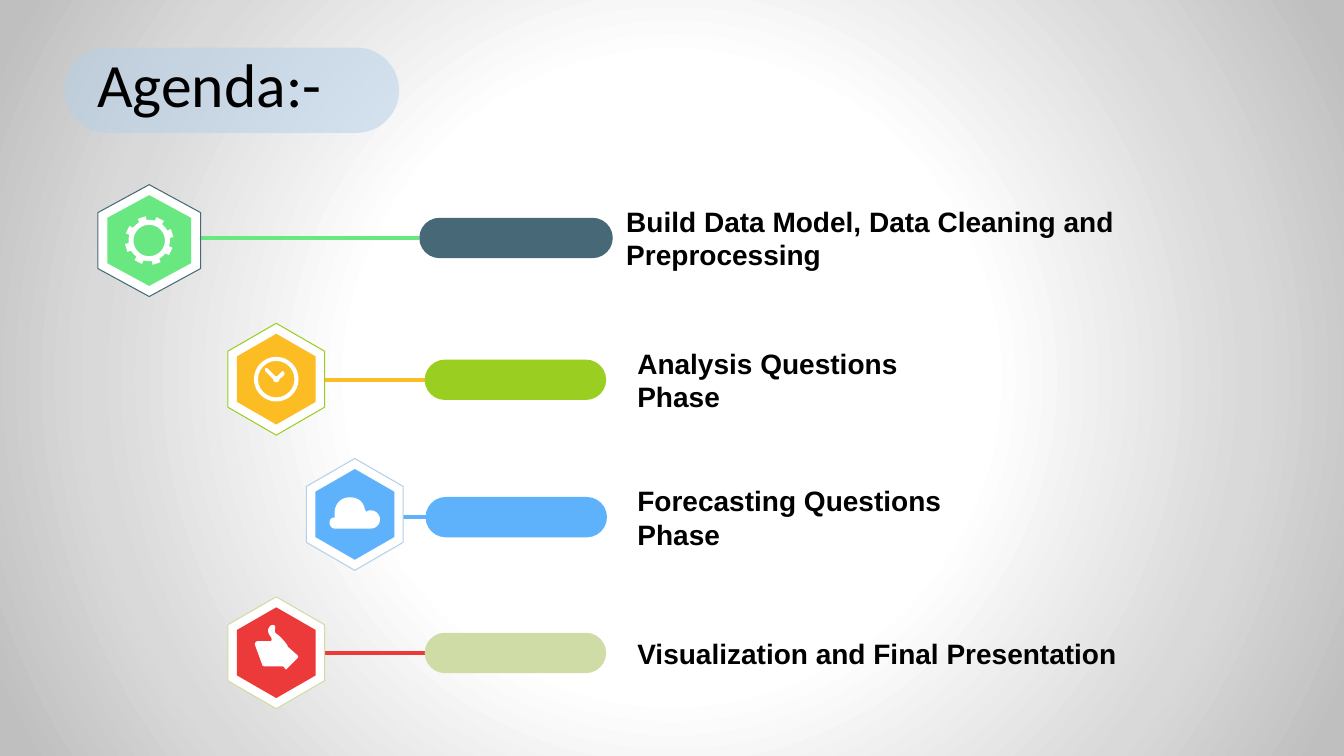
from math import cos, radians, sin

from pptx import Presentation
from pptx.dml.color import RGBColor
from pptx.enum.shapes import MSO_CONNECTOR as Link, MSO_SHAPE as Preset
from pptx.enum.text import MSO_ANCHOR as Anchor
from pptx.oxml import parse_xml
from pptx.oxml.ns import nsdecls, qn
from pptx.util import Pt

WHITE = RGBColor(0xFF, 0xFF, 0xFF)
BLACK = RGBColor(0x00, 0x00, 0x00)
SLATE = RGBColor(0x47, 0x69, 0x77)
MINT = RGBColor(0x69, 0xE7, 0x81)
LIME = RGBColor(0x9A, 0xCF, 0x21)
AMBER = RGBColor(0xFC, 0xBD, 0x24)
SKY = RGBColor(0x5E, 0xB2, 0xFC)
PALE_BLUE = RGBColor(0xB4, 0xD0, 0xE9)
RED = RGBColor(0xEC, 0x3A, 0x3B)
SAGE = RGBColor(0xCF, 0xDC, 0xA5)
LIGHT_GREY = RGBColor(0xD9, 0xD9, 0xD9)
MID_GREY = RGBColor(0xBF, 0xBF, 0xBF)

BACKDROP_STOPS = [(41, WHITE), (75, LIGHT_GREY), (97, MID_GREY)]
HEX_HEIGHT = 79.9
CORE_HEIGHT = 64.8
CORE_RATIO = 0.815
PILL_HEIGHT = 28.8
LABEL_HEIGHT = 31.7
INSET = 9.6
LABEL_FONT = dict(name="Arial", size=Pt(20), bold=True)
TITLE_FONT = dict(name="Calibri", size=Pt(44), bold=False)

CLOCK_HANDS = [
    (-6.5, -7.9), (-7.2, -7.9, -7.2, -7.9, -7.9, -7.9),
    (-7.9, -7.2, -7.9, -6.5, -7.9, -5.8), (-2.2, 0),
    (-2.2, 1.4, -1.4, 2.2, 0, 2.2), (1.4, 2.2, 2.2, 1.4, 2.2, 0),
    (5.8, -2.9), (5.8, -3.6, 5.8, -4.3, 5.8, -5),
    (5, -5, 5, -5.8, 4.3, -5.8), (0.7, -2.2), (-0.7, -2.2)]
CLOUD = [
    (-4, -12.2), (-10.1, -12.2, -14.4, -7.2, -14.4, -1.4), (-14.4, 2.2),
    (-16.6, 2.2, -18, 3.6, -18, 5.8), (-18, 7.9, -16.6, 10.1, -14.4, 10.1),
    (11.5, 10.1), (15.1, 10.1, 18, 7.2, 18, 3.6),
    (18, 0, 15.1, -2.9, 11.5, -2.9), (9.4, -2.9, 8.6, -2.2, 7.9, -1.4),
    (7.9, -2.2, 7.9, -2.9, 7.2, -3.6), (6.5, -7.9, 3.6, -10.8, 0.7, -11.5),
    (-0.7, -12.2, -2.2, -12.2, -4, -12.2)]
THUMB = [
    (-2.2, -19.8), (-2.9, -19.8, -3.6, -19.8, -4.3, -19.1),
    (-5, -18.4, -5.8, -16.9, -5.8, -16.2),
    (-5.8, -13.3, -4.3, -11.9, -3.6, -11.2),
    (-3.6, -10.4, -2.9, -9.7, -3.6, -8.3), (-13, -8.3),
    (-14.4, -8.3, -15.8, -6.8, -15.1, -5.4), (-10.1, 8.3),
    (-10.1, 9, -9.4, 9.7, -8.6, 9.7), (2.9, 9.7),
    (3.6, 9.7, 5, 9.7, 5.8, 10.4), (5.8, 11.2),
    (6.5, 11.2, 6.5, 11.9, 7.2, 11.9), (7.9, 11.2), (15.1, 4),
    (15.8, 3.2, 15.8, 2.5, 15.1, 1.8), (8.6, -4),
    (7.9, -4.7, 7.9, -5.4, 7.9, -5.4), (7.9, -5.4, 5, -9.7, 1.4, -12.6),
    (-2.2, -14.8, -0.7, -16.2, -0.7, -18.4),
    (-0.7, -19.1, -1.4, -19.8, -2.2, -19.8)]


def apply_format(target, values):
    for attribute, value in values.items():
        setattr(target, attribute, value)


def paint(shape, fill, edge=None):
    shape.shadow.inherit = False
    shape.fill.solid()
    shape.fill.fore_color.rgb = fill
    if edge is None:
        shape.line.fill.background()
    else:
        shape.line.color.rgb = edge
        shape.line.width = Pt(0.75)


def flatten(outline, steps=8):
    points = [outline[0]]
    for segment in outline[1:]:
        if len(segment) == 2:
            points.append(segment)
            continue
        start, bends = points[-1], (segment[:2], segment[2:4], segment[4:])
        for step in range(1, steps + 1):
            t = step / steps
            weights = ((1 - t) ** 3, 3 * t * (1 - t) ** 2, 3 * t * t * (1 - t), t ** 3)
            points.append(tuple(
                sum(w * p[axis] for w, p in zip(weights, (start, *bends)))
                for axis in (0, 1)))
    return points


def add_outline(shapes, center, contours, fill, edge=None):
    placed = [[(Pt(center[0] + x), Pt(center[1] + y)) for x, y in contour]
              for contour in contours]
    builder = shapes.build_freeform(*placed[0][0], scale=1.0)
    for index, contour in enumerate(placed):
        if index:
            builder.move_to(*contour[0])
        builder.add_line_segments(contour[1:], close=True)
    paint(builder.convert_to_shape(), fill, edge)


def add_hexagon(shapes, center, width, height, fill, edge=None):
    half, top = width / 2, height / 2
    corners = [(0, -top), (-half, -top / 2), (-half, top / 2),
               (0, top), (half, top / 2), (half, -top / 2)]
    add_outline(shapes, center, [corners], fill, edge)


def polar(radius, angle):
    return radius * cos(radians(angle)), radius * sin(radians(angle))


def draw_gear(shapes, center):
    rim = []
    for tooth in range(8):
        middle = -108 + 45 * tooth
        rim += [polar(radius, middle + turn) for radius, turn in (
            (14.8, -11), (17.5, -9.8), (17.5, 9.8), (14.8, 11), (14.8, 22.5))]
    hole = [polar(11.2, -6 * step) for step in range(60)]
    add_outline(shapes, center, [rim, hole], WHITE)


def draw_clock(shapes, center):
    x, y = center
    dial = shapes.add_shape(Preset.DONUT, Pt(x - 15.9), Pt(y - 15.9), Pt(31.8), Pt(31.8))
    dial.adjustments[0] = 0.09
    paint(dial, WHITE)
    add_outline(shapes, center, [flatten(CLOCK_HANDS)], WHITE)


def draw_cloud(shapes, center):
    add_outline(shapes, center, [flatten(CLOUD)], WHITE)


def draw_thumb(shapes, center):
    add_outline(shapes, center, [flatten(THUMB)], WHITE)


def add_pill(shapes, left, top, width, height, fill):
    pill = shapes.add_shape(Preset.ROUNDED_RECTANGLE, Pt(left), Pt(top), Pt(width), Pt(height))
    pill.adjustments[0] = 0.5
    paint(pill, fill)
    return pill


def add_label(shapes, left, top, width, height, wording, font, indent=0):
    frame = shapes.add_textbox(Pt(left), Pt(top), Pt(width), Pt(height)).text_frame
    apply_format(frame, dict(
        word_wrap=True, vertical_anchor=Anchor.MIDDLE,
        margin_left=Pt(INSET + indent), margin_right=Pt(INSET),
        margin_top=Pt(INSET), margin_bottom=Pt(INSET)))
    line = frame.paragraphs[0]
    run = line.add_run()
    run.text = wording
    apply_format(run.font, font)
    run.font.color.rgb = BLACK
    return line


def add_agenda_row(slide, hexagon, pill, label, colors, draw_icon):
    shapes = slide.shapes.add_group_shape().shapes
    hex_left, hex_top, hex_width = hexagon
    pill_left, pill_top, pill_width = pill
    accent, edge, pill_color = colors
    center = hex_left + hex_width / 2, hex_top + HEX_HEIGHT / 2
    middle = pill_top + PILL_HEIGHT / 2

    link = shapes.add_connector(Link.STRAIGHT, Pt(hex_left + hex_width - 5), Pt(middle),
                                Pt(pill_left), Pt(middle))
    link.line.color.rgb = accent
    link.line.width = Pt(2.65)
    link._element.spPr.append(parse_xml(f"<a:effectLst {nsdecls('a')}/>"))
    add_hexagon(shapes, center, hex_width, HEX_HEIGHT, WHITE, edge)
    add_hexagon(shapes, center, hex_width * CORE_RATIO, CORE_HEIGHT, accent)
    draw_icon(shapes, center)
    add_pill(shapes, pill_left, pill_top, pill_width, PILL_HEIGHT, pill_color)
    label_left, label_width, wording, indent = label
    add_label(shapes, label_left, middle - LABEL_HEIGHT / 2, label_width, LABEL_HEIGHT,
              wording, LABEL_FONT, indent)


def add_title(slide, left, top, width, height):
    pill = add_pill(slide.shapes, left, top, width, height, PALE_BLUE)
    tint = pill._element.spPr.find(qn("a:solidFill"))[0]
    tint.append(parse_xml(f'<a:alpha {nsdecls("a")} val="50000"/>'))
    line = add_label(slide.shapes, left + 13.7, top + 3.6, 300.2, 50.4, "Agenda:-", TITLE_FONT)
    line.line_spacing = 0.9


def add_backdrop(slide):
    slide.background.fill.solid()
    holder = slide._element.find(".//" + qn("p:bgPr"))
    stops = "".join(f'<a:gs pos="{place * 1000}"><a:srgbClr val="{color}"/></a:gs>'
                    for place, color in BACKDROP_STOPS)
    holder.replace(holder[0], parse_xml(
        f'<a:gradFill {nsdecls("a")} rotWithShape="1"><a:gsLst>{stops}</a:gsLst>'
        '<a:path path="circle"><a:fillToRect l="50000" t="50000" r="50000" b="50000"/>'
        '</a:path></a:gradFill>'))


def main():
    deck = Presentation()
    apply_format(deck, dict(slide_width=Pt(960), slide_height=Pt(540)))
    slide = deck.slides.add_slide(deck.slide_layouts[6])
    add_backdrop(slide)
    add_agenda_row(slide, (69.9, 131.9, 73.4), (299.5, 155.6, 138.2),
                   (437.7, 478, "Build Data Model, Data Cleaning and Preprocessing", 0),
                   (MINT, SLATE, SLATE), draw_gear)
    add_agenda_row(slide, (162.8, 230.9, 69.1), (303.4, 256.9, 129.6),
                   (445.6, 264, "Analysis Questions Phase", 0),
                   (AMBER, LIME, LIME), draw_clock)
    add_agenda_row(slide, (218.9, 327.5, 69.1), (304, 355, 129.6),
                   (409.7, 327, "Forecasting Questions Phase", 36),
                   (SKY, PALE_BLUE, SKY), draw_cloud)
    add_agenda_row(slide, (162.8, 426.3, 69.1), (303.4, 452, 129.6),
                   (445.6, 464.4, "Visualization and Final Presentation", 0),
                   (RED, SAGE, SAGE), draw_thumb)
    add_title(slide, 46.1, 34, 239, 61)
    deck.save("out.pptx")


if __name__ == "__main__":
    main()
